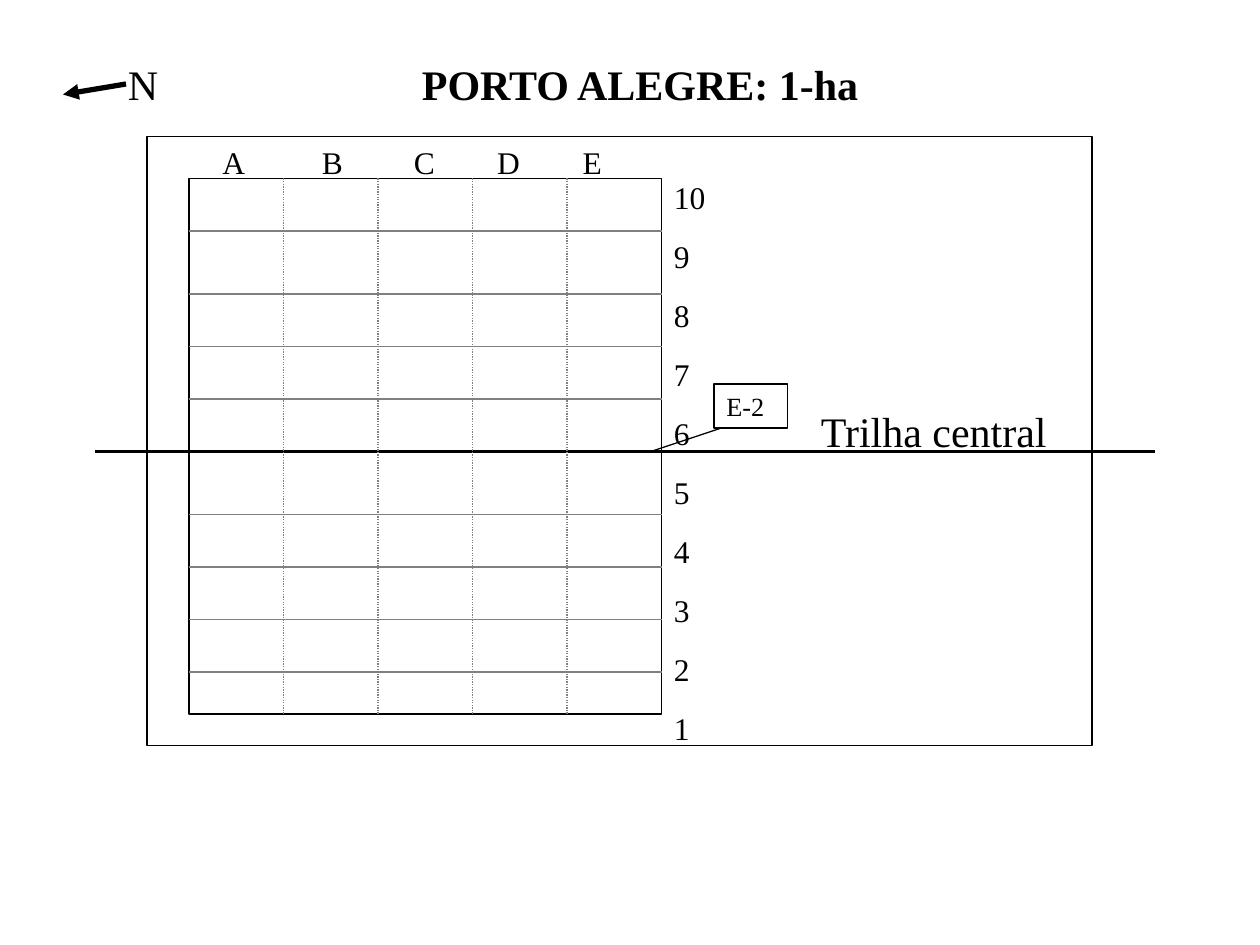
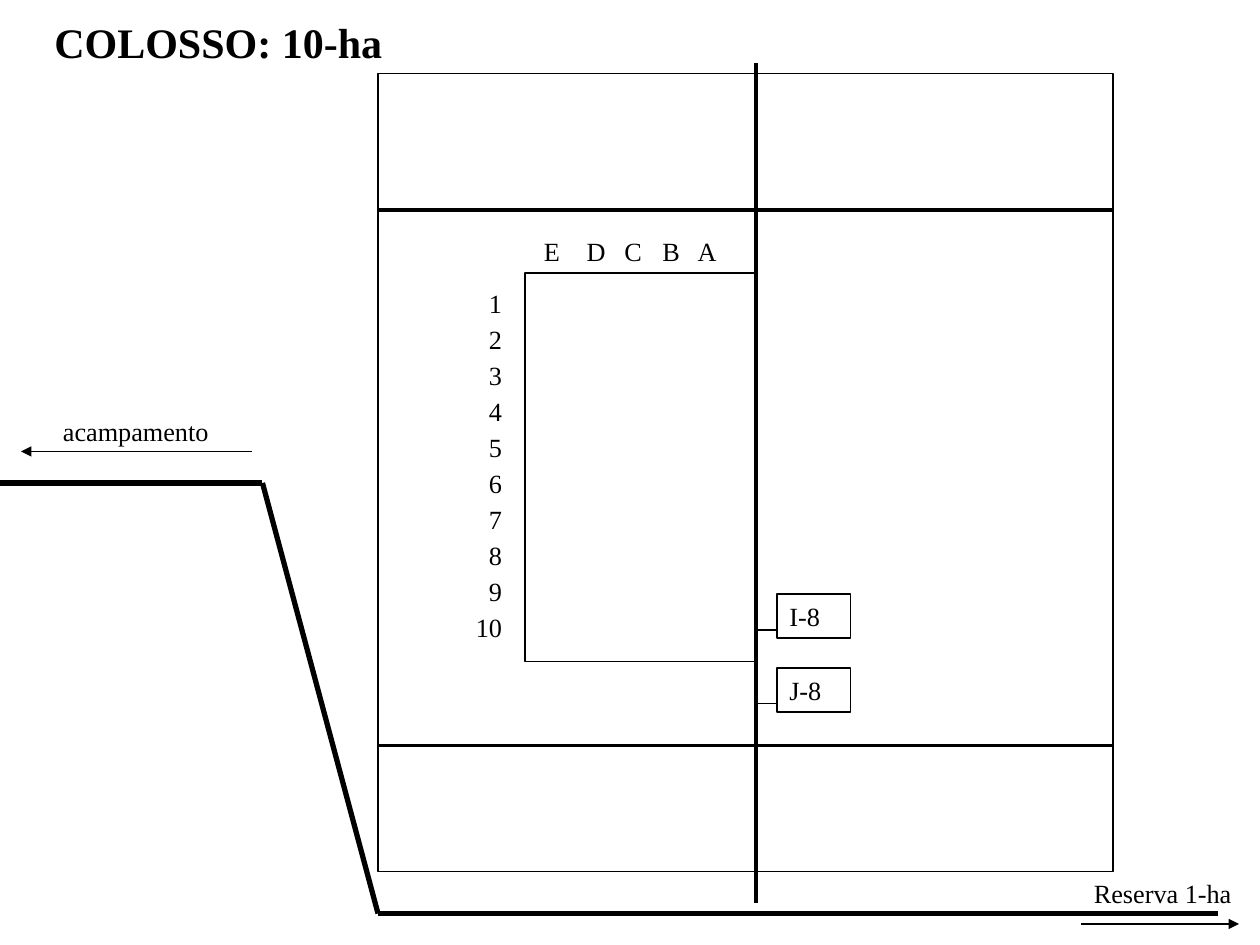
import lxml.etree
import pptx
import pptx.dml.color
import pptx.enum.dml
import pptx.enum.shapes
import pptx.enum.text
import pptx.oxml.ns
import pptx.util

BLACK = pptx.dml.color.RGBColor(0x00, 0x00, 0x00)
GRAY = pptx.dml.color.RGBColor(0x80, 0x80, 0x80)
WHITE = pptx.dml.color.RGBColor(0xFF, 0xFF, 0xFF)
FONT = "Times New Roman"
COLUMNS, ROWS = 120, 90
CELL = pptx.util.Inches(10) // COLUMNS
LARGE, MEDIUM, SMALL = 24, 18, 15
THIN, TAG, TRAIL, ROAD = 0.75, 1, 2.25, 3
SYS_DOT = pptx.enum.dml.MSO_LINE.ROUND_DOT


def add_element(parent, tag, **attributes):
    return lxml.etree.SubElement(parent, pptx.oxml.ns.qn(tag), attributes)


def write_text(shape, text, size=SMALL, bold=False, alignment=None,
               space_before=0, line_spacing=None, inset=0.1, tabs=()):
    frame = shape.text_frame
    frame.word_wrap = True
    frame.auto_size = pptx.enum.text.MSO_AUTO_SIZE.SHAPE_TO_FIT_TEXT
    frame.vertical_anchor = pptx.enum.text.MSO_ANCHOR.TOP
    frame.margin_left = pptx.util.Inches(inset)
    for index, content in enumerate(text.split("\n")):
        paragraph = frame.add_paragraph() if index else frame.paragraphs[0]
        paragraph.alignment = alignment or pptx.enum.text.PP_ALIGN.LEFT
        paragraph.space_before = pptx.util.Pt(space_before if index else 0)
        if line_spacing:
            paragraph.line_spacing = line_spacing
        if tabs:
            tab_list = add_element(paragraph._p.get_or_add_pPr(), "a:tabLst")
            for tab in tabs:
                add_element(tab_list, "a:tab", pos=str(pptx.util.Inches(tab)), algn="l")
        run = paragraph.add_run()
        run.text = content
        run.font.name = FONT
        run.font.size = pptx.util.Pt(size)
        run.font.bold = bold
        run.font.color.rgb = BLACK


class PlotMap:
    def __init__(self, presentation):
        self.presentation = presentation
        self.slide = None

    def new_slide(self):
        self.slide = self.presentation.slides.add_slide(self.presentation.slide_layouts[6])

    def place(self, *cells):
        return [round(cell * CELL) for cell in cells]

    def rectangle(self, left, top, width, height, fill=None, weight=THIN):
        shape = self.slide.shapes.add_shape(
            pptx.enum.shapes.MSO_SHAPE.RECTANGLE, *self.place(left, top, width, height))
        shape.shadow.inherit = False
        if fill is None:
            shape.fill.background()
        else:
            shape.fill.solid()
            shape.fill.fore_color.rgb = fill
        shape.line.color.rgb = BLACK
        shape.line.width = pptx.util.Pt(weight)
        return shape

    def line(self, start, end, weight=THIN, color=BLACK, dash=None, arrow=False):
        connector = self.slide.shapes.add_connector(
            pptx.enum.shapes.MSO_CONNECTOR.STRAIGHT, *self.place(*start, *end))
        connector.line.color.rgb = color
        connector.line.width = pptx.util.Pt(weight)
        if dash:
            connector.line.dash_style = dash
        if arrow:
            add_element(connector.get_or_add_ln(), "a:tailEnd", type="triangle")
        add_element(connector._element.spPr, "a:effectLst")

    def label(self, text, left, top, width, height, **text_format):
        box = self.slide.shapes.add_textbox(*self.place(left, top, width, height))
        write_text(box, text, **text_format)

    def title(self, text, left, top, width):
        self.label(text, left, top, width, 6, size=LARGE, bold=True)

    def tag(self, text, left, top, leader_start, leader_end):
        self.line(leader_start, leader_end)
        write_text(self.rectangle(left, top, 7, 4.2, WHITE, TAG), text)


def draw_porto_alegre(plot_map):
    plot_map.new_slide()
    plot_map.rectangle(14, 13, 90, 58)
    plot_map.label("N", 11, 5, 7, 6, size=LARGE)
    plot_map.line((12, 8), (6, 9), ROAD, arrow=True)
    plot_map.title("PORTO ALEGRE: 1-ha", 39, 5, 81)

    left, top, right, bottom = 18, 17, 63, 68
    trail_row = 43
    plot_map.rectangle(left, top, right - left, bottom - top)
    plot_map.line((9, trail_row), (110, trail_row), TRAIL)
    plot_map.label("Trilha central", 77, 38, 33, 6, size=LARGE)
    plot_map.label("\t".join("ABCDE"), 20, 13, 41, 4.8, size=MEDIUM,
                   tabs=(0.79, 1.52, 2.18, 2.86))
    plot_map.label("\n".join(str(number) for number in range(10, 0, -1)),
                   right, 16.4, 7, 54.1, size=MEDIUM, space_before=12.1)
    for column in range(left + 9, right, 9):
        plot_map.line((column, top), (column, bottom), color=GRAY, dash=SYS_DOT)
    for row in (22, 28, 33, 38, 49, 54, 59, 64):
        plot_map.line((right, row), (left, row), color=GRAY)
    plot_map.tag("E-2", 68, 36.6, (71, 40), (62, trail_row))


def draw_colosso(plot_map):
    plot_map.new_slide()
    left, right, trail_column = 36, 106, 72
    plot_map.rectangle(left, 7, right - left, 76)
    plot_map.line((trail_column, 6), (trail_column, 86), TRAIL)
    plot_map.title("COLOSSO: 10-ha", 4, 1, 55)
    plot_map.rectangle(50, 26, trail_column - 50, 37)
    plot_map.label("\t".join("EDCBA"), 50, 21.8, 25, 4.2, inset=0.15,
                   tabs=(0.34, 0.64, 0.94, 1.22))
    plot_map.label("\n".join(str(number) for number in range(1, 11)),
                   43, 27.8, 6, 33.4, space_before=9.8, line_spacing=0.6,
                   alignment=pptx.enum.text.PP_ALIGN.RIGHT)
    for row in (71, 20):
        plot_map.line((left, row), (right, row), TRAIL)

    road = [(0, 46), (25, 46), (left, 87), (116, 87)]
    for start, end in zip(road, road[1:]):
        plot_map.line(start, end, ROAD)
    plot_map.label("acampamento", 3, 39, 31, 4.2, inset=0.25)
    plot_map.line((24, 43), (2, 43), arrow=True)
    plot_map.label("Reserva 1-ha", 103, 83, 17, 4.2)
    plot_map.line((103, 88), (118, 88), arrow=True)
    for text, row in (("I-8", 60), ("J-8", 67)):
        plot_map.tag(text, 74, row - 3.4, (76, row), (trail_column, row))


def main():
    presentation = pptx.Presentation()
    presentation.slide_width = COLUMNS * CELL
    presentation.slide_height = ROWS * CELL
    plot_map = PlotMap(presentation)
    draw_porto_alegre(plot_map)
    draw_colosso(plot_map)
    presentation.save("out.pptx")


if __name__ == "__main__":
    main()
